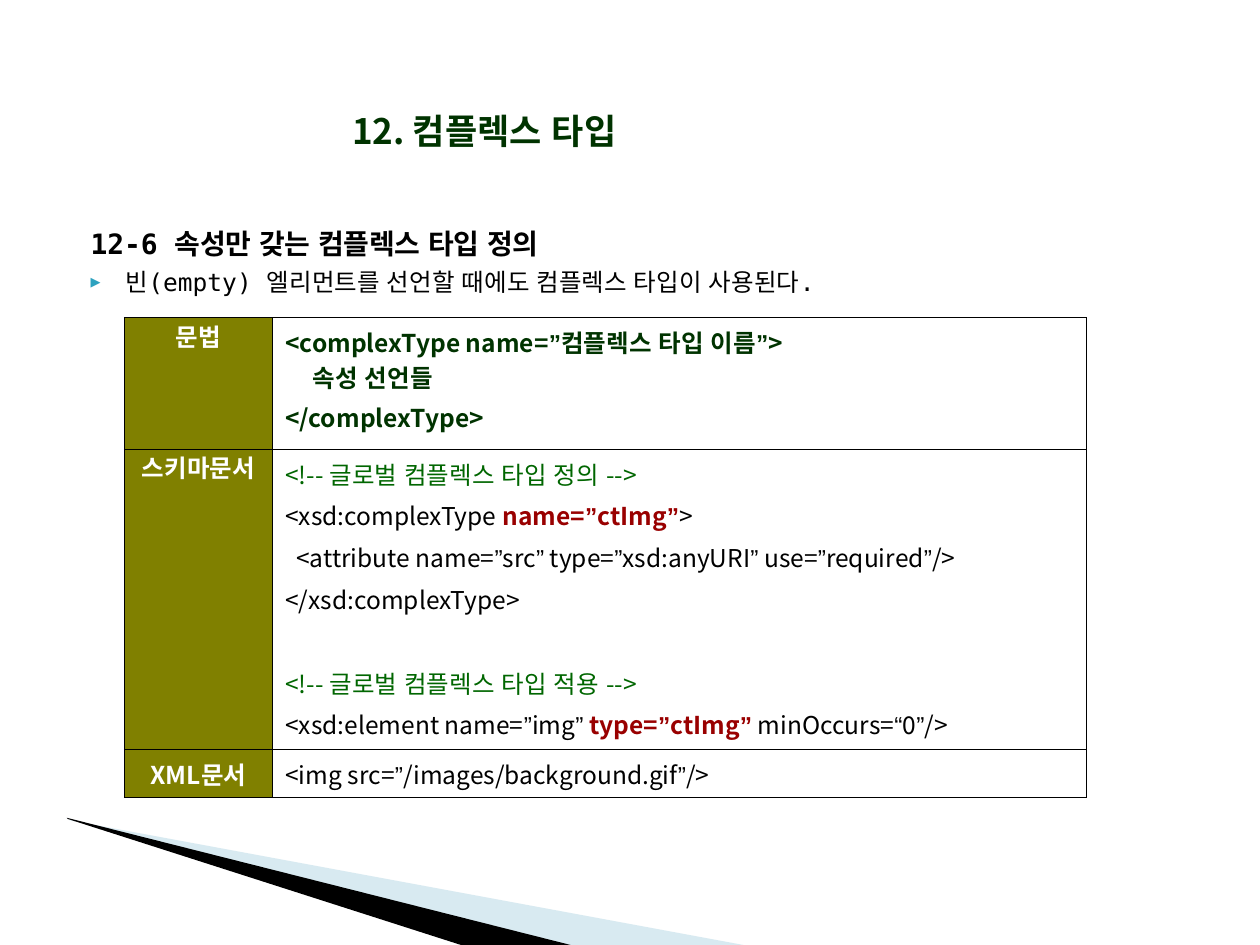
from itertools import groupby

from lxml.etree import SubElement
from pptx import Presentation
from pptx.dml.color import RGBColor
from pptx.enum.text import MSO_ANCHOR, MSO_AUTO_SIZE, PP_ALIGN
from pptx.oxml.ns import qn
from pptx.util import Inches, Pt

COLORS = {
    "black": "000000", "white": "FFFFFF", "olive": "808000", "forest": "003300",
    "comment": "006600", "accent": "990000", "bullet": "2DA2BF", "sky": "9FCBDC",
}
SANS, MONO, QUOTE = "Noto Sans CJK KR", "DejaVu Sans Mono", "Arial"
EAST_ASIAN = "Arial"


def color(name):
    return RGBColor.from_string(COLORS[name])


def add_span(para, text, font=SANS, size=14, ink="black", bold=False):
    span = para.add_run()
    span.text = text
    span.font.name = font
    span.font.size = Pt(size)
    span.font.bold = bold
    span.font.color.rgb = color(ink)
    SubElement(span.font._element, qn("a:ea"), typeface=EAST_ASIAN)


def add_code(para, text, **style):
    """Curly quotes have a font of their own."""
    for is_quote, chars in groupby(text, lambda char: char in "“”"):
        add_span(para, "".join(chars), font=QUOTE if is_quote else SANS, **style)


class SlideBuilder:
    """Places elements on a grid of 100 columns and 75 rows."""

    def __init__(self, deck):
        self.column = deck.slide_width / 100
        self.row = deck.slide_height / 75
        self.slide = deck.slides.add_slide(deck.slide_layouts[5])

    def place(self, left, top, width, height):
        return (round(left * self.column), round(top * self.row),
                round(width * self.column), round(height * self.row))

    def title(self, text, area):
        box = self.slide.shapes.title
        box.left, box.top, box.width, box.height = self.place(*area)
        frame = box.text_frame
        frame.auto_size = MSO_AUTO_SIZE.NONE
        frame.vertical_anchor = MSO_ANCHOR.MIDDLE
        para = frame.paragraphs[0]
        para.alignment = PP_ALIGN.CENTER
        add_span(para, text, size=20, ink="forest", bold=True)

    def wedge(self, points, fill, opacity=100):
        corners = [(x * self.column, y * self.row) for x, y in points]
        builder = self.slide.shapes.build_freeform(*corners[0])
        builder.add_line_segments(corners[1:], close=True)
        shape = builder.convert_to_shape()
        shape.shadow.inherit = False
        shape.line.fill.background()
        shape.fill.solid()
        shape.fill.fore_color.rgb = color(fill)
        if opacity < 100:
            tint = shape.element.spPr.find(qn("a:solidFill"))[0]
            SubElement(tint, qn("a:alpha"), val=str(opacity * 1000))

    def body(self, heading, point, area):
        frame = self.slide.shapes.add_textbox(*self.place(*area)).text_frame
        frame.word_wrap = True
        first, second = frame.paragraphs[0], frame.add_paragraph()
        for para in (first, second):
            properties = para._p.get_or_add_pPr()
            properties.set("marL", str(Inches(0.4)))
            properties.set("indent", str(Inches(-0.28)))
        bullet_color = SubElement(properties, qn("a:buClr"))
        SubElement(bullet_color, qn("a:srgbClr"), val=COLORS["bullet"])
        SubElement(properties, qn("a:buSzPct"), val="68000")
        SubElement(properties, qn("a:buFont"), typeface=MONO)
        SubElement(properties, qn("a:buChar"), char="▶")
        second.space_before = Pt(4)
        add_span(first, heading, font=MONO, size=16, bold=True)
        add_span(second, point, font=MONO)

    def table(self, sections, area, widths, heights):
        frame = self.slide.shapes.add_table(len(sections), 2, *self.place(*area))
        table = frame.table
        table.first_row = table.horz_banding = False
        for column, width in zip(table.columns, widths):
            column.width = round(width * self.column)
        for row, height in zip(table.rows, heights):
            row.height = round(height * self.row)
        for row, (label, lines) in zip(table.rows, sections):
            head, code = row.cells
            for cell in (head, code):
                self.borders(cell)
            head.fill.solid()
            head.fill.fore_color.rgb = color("olive")
            code.fill.background()
            para = head.text_frame.paragraphs[0]
            para.alignment = PP_ALIGN.CENTER
            add_span(para, label, ink="white", bold=True)
            self.code_lines(code.text_frame, lines)

    def borders(self, cell):
        properties = cell._tc.get_or_add_tcPr()
        for side in ("lnL", "lnR", "lnT", "lnB"):
            line = SubElement(properties, qn(f"a:{side}"), w=str(Pt(0.45)))
            fill = SubElement(line, qn("a:solidFill"))
            SubElement(fill, qn("a:srgbClr"), val=COLORS["black"])

    def code_lines(self, frame, lines):
        for index, (gap, spans) in enumerate(lines):
            para = frame.add_paragraph() if index else frame.paragraphs[0]
            if index:
                para.space_before = Pt(gap)
            for text, style in spans:
                add_code(para, text, **style)


# Code styles and line gaps in points
PLAIN = {}
SYNTAX = {"ink": "forest", "bold": True}
COMMENT = {"ink": "comment"}
ACCENT = {"ink": "accent", "bold": True}
GAP, BLOCK_GAP = 3.5, 27.3

SECTIONS = [
    ("문법", [
        (GAP, [("<complexType name=”컴플렉스 타입 이름”>", SYNTAX)]),
        (GAP, [("    속성 선언들", SYNTAX)]),
        (GAP, [("</complexType>", SYNTAX)]),
    ]),
    ("스키마문서", [
        (GAP, [("<!-- 글로벌 컴플렉스 타입 정의 -->", COMMENT)]),
        (GAP, [("<xsd:complexType ", PLAIN), ("name=”ctImg”", ACCENT), (">", PLAIN)]),
        (GAP, [("  <attribute name=”src” type=”xsd:anyURI” use=”required”/>", PLAIN)]),
        (GAP, [("</xsd:complexType>", PLAIN)]),
        (BLOCK_GAP, [("<!-- 글로벌 컴플렉스 타입 적용 -->", COMMENT)]),
        (GAP, [("<xsd:element name=”img” ", PLAIN), ("type=”ctImg”", ACCENT),
               (" minOccurs=“0”/>", PLAIN)]),
    ]),
    ("XML문서", [(GAP, [("<img src=”/images/background.gif”/>", PLAIN)])]),
]


def main():
    deck = Presentation()
    deck.slide_width, deck.slide_height = Inches(10), Inches(7.5)
    page = SlideBuilder(deck)

    # Corner wedges
    page.wedge([(5.5, 65.1), (59, 75), (45.2, 75), (5.5, 65)], "sky", opacity=40)
    page.wedge([(5.3, 64.9), (45.3, 75), (36.6, 75), (5.4, 65)], "black")

    # Title and introduction
    page.title("12. 컴플렉스 타입", (9.7, 7.6, 57.5, 5.5))
    page.body("12-6 속성만 갖는 컴플렉스 타입 정의",
              "빈(empty) 엘리먼트를 선언할 때에도 컴플렉스 타입이 사용된다.",
              (5, 17.5, 89.9, 6.6))

    # Syntax, schema and document examples
    page.table(SECTIONS, (9.85, 25.2, 76.4, 38.1),
               widths=(11.8, 64.6), heights=(10.45, 23.85, 3.8))

    deck.save("out.pptx")


if __name__ == "__main__":
    main()
